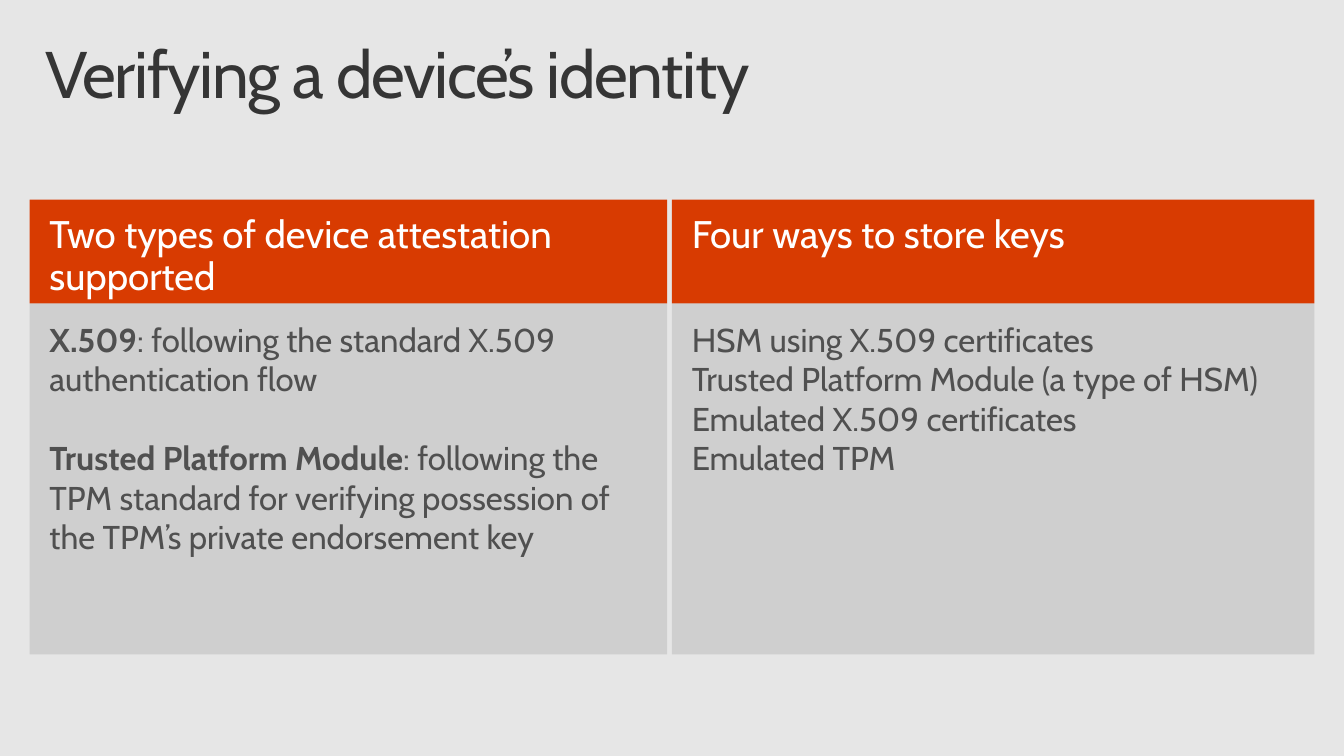
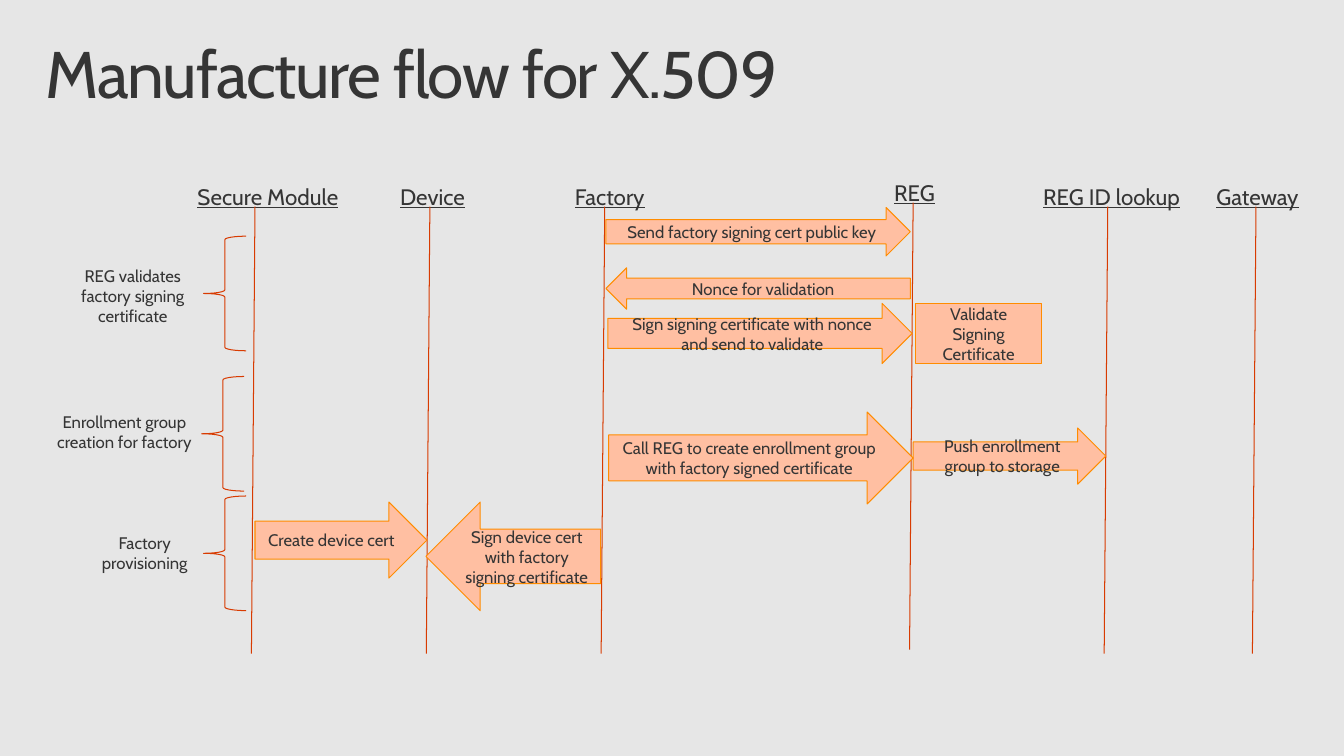
import pptx
import pptx.util
import pptx.dml.color
import pptx.enum.shapes
import pptx.enum.text
import pptx.oxml
import pptx.oxml.ns

Pt = pptx.util.Pt
SHAPE = pptx.enum.shapes.MSO_SHAPE
ALIGN = pptx.enum.text.PP_ALIGN
ANCHOR = pptx.enum.text.MSO_ANCHOR
FIT = pptx.enum.text.MSO_AUTO_SIZE

# Shared look
COLORS = {
    "background": "E6E6E6", "dark": "353535", "body": "505050", "white": "FFFFFF",
    "accent": "D83B01", "step": "FFBFA2", "step_line": "FF8C00",
}
FONT = "Cabin"
TITLE_BOX = (21.6, 23, 936, 72)
FRAME_INSETS = {"margin_left": Pt(14.4), "margin_right": Pt(14.4),
                "margin_top": Pt(11.5), "margin_bottom": Pt(11.5)}
TITLE_INSETS = {"margin_left": Pt(11.5), "margin_right": Pt(11.5),
                "margin_top": Pt(7.2), "margin_bottom": Pt(7.2)}
TOP_FRAME = {"word_wrap": True, "auto_size": FIT.NONE, "vertical_anchor": ANCHOR.TOP}


def apply(target, values):
    for name, value in values.items():
        setattr(target, name, value)


def rgb(name):
    return pptx.dml.color.RGBColor.from_string(COLORS[name])


def place(sp, box):
    apply(sp, dict(zip(("left", "top", "width", "height"), map(Pt, box))))


def paint(sp, fill=None, line=None):
    if fill:
        sp.fill.solid()
        sp.fill.fore_color.rgb = rgb(fill)
    else:
        sp.fill.background()
    if line:
        sp.line.color.rgb = rgb(line)
        sp.line.width = Pt(0.75)
    else:
        sp.line.fill.background()


def write(tf, paragraphs, size, color, para=None, font=None):
    """Fill a frame; a paragraph is a string or a list of (text, bold) runs."""
    for i, runs in enumerate(paragraphs):
        p = tf.paragraphs[0] if i == 0 else tf.add_paragraph()
        apply(p, para or {})
        for text, bold in [(runs, False)] if isinstance(runs, str) else runs:
            r = p.add_run()
            r.text = text
            apply(r.font, {"name": FONT, "size": Pt(size), "bold": bold, **(font or {})})
            r.font.color.rgb = rgb(color)


def add_title(s, text):
    sp = s.shapes.title
    place(sp, TITLE_BOX)
    tf = sp.text_frame
    apply(tf, {**TOP_FRAME, **TITLE_INSETS})
    write(tf, [text], 48, "dark", {"alignment": ALIGN.LEFT, "line_spacing": 0.9})
    tf.paragraphs[0].runs[0].font._element.set("spc", "-100")


# Two-panel slide
def fill_panel_part(sp, box, fill, paragraphs, size, color, spacing, gap=0):
    place(sp, box)
    paint(sp, fill)
    tf = sp.text_frame
    apply(tf, {**TOP_FRAME, **FRAME_INSETS})
    write(tf, paragraphs, size, color,
          {"alignment": ALIGN.LEFT, "line_spacing": spacing, "space_before": Pt(0)})
    for i, p in enumerate(tf.paragraphs):
        if i:
            p.space_before = Pt(gap)
        pPr = p._p.get_or_add_pPr()
        pPr.set("marL", "0")
        pPr.set("indent", "0")
        pPr.append(pptx.oxml.parse_xml(
            "<a:buNone %s/>" % pptx.oxml.ns.nsdecls("a")))


def add_panel(header, body, box, heading, paragraphs, gap):
    left, top, width, height = box
    header_height = 75.6
    fill_panel_part(header, (left, top, width, header_height), "accent",
                    [heading], 28, "white", 0.9)
    fill_panel_part(body, (left, top + header_height, width, height - header_height),
                    "dark", paragraphs, 24, "body", 1.0, gap)
    # Body panels are a translucent dark tint
    color = body.fill._xPr.find(".//" + pptx.oxml.ns.qn("a:srgbClr"))
    color.append(pptx.oxml.parse_xml(
        '<a:alpha %s val="13000"/>' % pptx.oxml.ns.nsdecls("a")))


def identity_slide(prs):
    s = prs.slides.add_slide(prs.slide_layouts[4])
    add_title(s, "Verifying a device’s identity")
    panels = [
        (464.4, "Two types of device attestation supported", [
            [("X.509", True), (": following the standard X.509 authentication flow", False)],
            [("Trusted Platform Module", True),
             (": following the TPM standard for verifying possession of "
              "the TPM’s private endorsement key", False)]], 28.8),
        (468, "Four ways to store keys", [
            "HSM using X.509 certificates", "Trusted Platform Module (a type of HSM)",
            "Emulated X.509 certificates", "Emulated TPM"], 0),
    ]
    left, column_gap = 21.6, 3.6
    for i, (width, heading, paragraphs, gap) in enumerate(panels):
        header, body = (s.placeholders[2 * i + k] for k in (1, 2))
        add_panel(header, body, (left, 145.5, width, 331.2), heading, paragraphs, gap)
        left += width + column_gap


# Sequence diagram slide
def add_label(s, box, paragraphs, size, align, underline=False):
    sp = s.shapes.add_textbox(*map(Pt, box))
    tf = sp.text_frame
    apply(tf, {"word_wrap": True, "auto_size": FIT.SHAPE_TO_FIT_TEXT})
    write(tf, paragraphs, size, "dark", {"alignment": align}, {"underline": underline})


def add_shape(s, kind, box, fill, line):
    sp = s.shapes.add_shape(kind, *map(Pt, box))
    sp.shadow.inherit = False
    paint(sp, fill, line)
    return sp


def add_lanes(s, x0, y0):
    lanes = [  # name, label left, label width, line x, y, alignment
        ("Secure Module", 104.8, 121.7, 153.8, 3.6, ALIGN.LEFT),
        ("Device", 252.4, 85.7, 281.2, 3.6, ALIGN.LEFT),
        ("Factory", 379.8, 85.7, 408.6, 3.6, ALIGN.LEFT),
        ("REG", 612.4, 50, 633.3, 0.7, ALIGN.LEFT),
        ("REG ID lookup", 703.8, 148.3, 775.1, 3.6, ALIGN.CENTER),
        ("Gateway", 847.1, 74.9, 883.1, 3.6, ALIGN.LEFT),
    ]
    lean, length, label_drop = 2.6, 325.8, 20.9
    for name, left, width, x, y, align in lanes:
        add_label(s, (x0 + left, y0 + y, width, 27.4), [name], 16.3, align, True)
        top = y0 + y + label_drop
        line = s.shapes.add_connector(
            pptx.enum.shapes.MSO_CONNECTOR.STRAIGHT,
            *map(Pt, (x0 + x, top, x0 + x - lean, top + length)))
        line.line.color.rgb = rgb("accent")
        line.line.width = Pt(0.75)
        line._element.spPr.append(pptx.oxml.parse_xml(
            "<a:effectLst %s/>" % pptx.oxml.ns.nsdecls("a")))


def add_phases(s, x0, y0):
    phases = [  # brace position, label box, label paragraphs
        (116.3, 46.1, (12.6, 64.1, 104.4, 52.6),
         ["REG validates factory signing certificate"]),
        (114.9, 148.3, (0.4, 170.6, 116.6, 37.4),
         ["Enrollment group", "creation for factory"]),
        (116.3, 235.4, (29.2, 258.5, 88.6, 37.4), ["Factory provisioning"]),
    ]
    for x, y, (left, top, width, height), paragraphs in phases:
        add_shape(s, SHAPE.LEFT_BRACE, (x0 + x, y0 + y, 31, 83.5), None, "accent")
        add_label(s, (x0 + left, y0 + top, width, height), paragraphs, 12.2, ALIGN.CENTER)


def add_steps(s, x0, y0):
    right, left = SHAPE.RIGHT_ARROW, SHAPE.LEFT_ARROW
    steps = [
        (right, 633.3, 185.8, 140.4, 41, "Push enrollment group to storage"),
        (left, 278.3, 239.8, 127.4, 79.2, "Sign device cert with factory signing certificate"),
        (right, 153.8, 239.8, 125.3, 55.4, "Create device cert"),
        (right, 411.5, 174.2, 221.8, 67,
         "Call REG to create enrollment group with factory signed certificate"),
        (right, 409.4, 25.2, 221.8, 35.3, "Send factory signing cert public key"),
        (left, 409.4, 69.1, 221.8, 30.2, "Nonce for validation"),
        (right, 410.8, 95, 221.8, 43.9,
         "Sign signing certificate with nonce and send to validate"),
        (SHAPE.RECTANGLE, 635.4, 95, 91.4, 43.9, "Validate Signing Certificate"),
    ]
    for kind, x, y, width, height, text in steps:
        sp = add_shape(s, kind, (x0 + x, y0 + y, width, height), "step", "step_line")
        tf = sp.text_frame
        apply(tf, {"word_wrap": True, "vertical_anchor": ANCHOR.MIDDLE})
        write(tf, [text], 12.2, "dark", {"alignment": ALIGN.CENTER})


def flow_slide(prs):
    s = prs.slides.add_slide(prs.slide_layouts[5])
    add_title(s, "Manufacture flow for X.509")
    for add_part in (add_lanes, add_phases, add_steps):
        add_part(s, 32, 126)


def main():
    prs = pptx.Presentation()
    apply(prs, {"slide_width": Pt(979.2), "slide_height": Pt(550.8)})
    background = prs.slide_master.background.fill
    background.solid()
    background.fore_color.rgb = rgb("background")
    identity_slide(prs)
    flow_slide(prs)
    prs.save("out.pptx")


if __name__ == "__main__":
    main()
